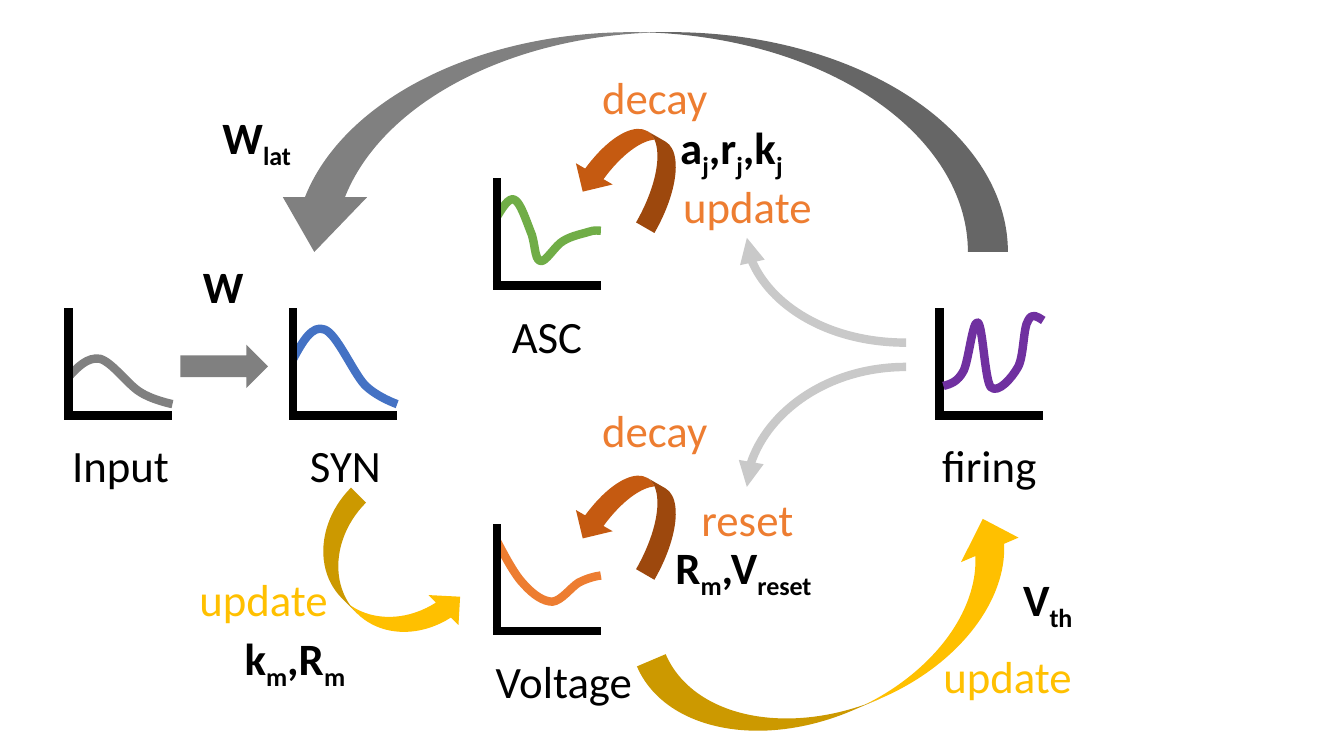
import pptx
import pptx.util
import pptx.dml.color
import pptx.enum.shapes
import pptx.enum.text
import pptx.oxml.ns
import lxml.etree


class Theme:
    black = "000000"
    gray = "808080"
    pale = "C9C9C9"
    blue = "4472C4"
    green = "70AD47"
    orange = "ED7D31"
    rust = "C55A11"
    gold = "FFC000"
    purple = "7030A0"
    font = "Calibri"
    size = 32
    stroke = 6


Pt = pptx.util.Pt
Kind = pptx.enum.shapes.MSO_SHAPE
Link = pptx.enum.shapes.MSO_CONNECTOR
qn = pptx.oxml.ns.qn


def paint(line, color):
    line.color.rgb = pptx.dml.color.RGBColor.from_string(color)
    line.width = Pt(Theme.stroke)


def link(slide, kind, start, end, color):
    ends = [Pt(v) for v in (*start, *end)]
    line = slide.shapes.add_connector(kind, *ends)
    paint(line.line, color)
    lxml.etree.SubElement(line._element.spPr, qn("a:effectLst"))
    return line


def axes(slide, x, y):
    link(slide, Link.STRAIGHT, (x, y), (x, y + 77), Theme.black)
    link(slide, Link.STRAIGHT, (x - 3, y + 76.5), (x + 74, y + 76.5), Theme.black)


def wave(slide, x, y, color, points):
    spots = [(Pt(x + a), Pt(y + b)) for a, b in points]
    pen = slide.shapes.build_freeform(*spots[0])
    pen.add_line_segments(spots[1:], close=False)
    shape = pen.convert_to_shape()
    shape.shadow.inherit = False
    shape.fill.background()
    paint(shape.line, color)
    steps = list(shape._element.iter(qn("a:lnTo")))
    for i in range(0, len(steps), 3):
        curve = lxml.etree.Element(qn("a:cubicBezTo"))
        steps[i].addprevious(curve)
        for step in steps[i:i + 3]:
            curve.append(step[0])
            step.getparent().remove(step)


def bend(slide, start, end):
    line = link(slide, Link.CURVE, start, end, Theme.pale)
    props = line._element.spPr
    props.find(qn("a:prstGeom")).set("prst", "curvedConnector2")
    tip = lxml.etree.SubElement(props.find(qn("a:ln")), qn("a:tailEnd"))
    tip.set("type", "triangle")


def arrow(slide, kind, box, color, turn=0, flip=False, bends=()):
    shape = slide.shapes.add_shape(kind, *[Pt(v) for v in box])
    shape.shadow.inherit = False
    shape.fill.solid()
    shape.fill.fore_color.rgb = pptx.dml.color.RGBColor.from_string(color)
    shape.line.fill.background()
    shape.rotation = turn
    if flip:
        for side in ("flipH", "flipV"):
            shape._element.spPr.xfrm.set(side, "1")
    for i, value in enumerate(bends):
        shape.adjustments[i] = value


def label(slide, text, x, y, color=Theme.black, wide=129, bold=False):
    box = slide.shapes.add_textbox(Pt(x), Pt(y), Pt(wide), Pt(46))
    frame = box.text_frame
    frame.word_wrap = True
    frame.auto_size = pptx.enum.text.MSO_AUTO_SIZE.SHAPE_TO_FIT_TEXT
    first, *rest = text.split("|")
    frame.text = first
    para = frame.paragraphs[0]
    para.alignment = pptx.enum.text.PP_ALIGN.CENTER
    for part in rest:
        para.add_run().text = part
    for i, run in enumerate(para.runs):
        run.font.name = Theme.font
        run.font.size = Pt(Theme.size)
        run.font.bold = bold
        run.font.color.rgb = pptx.dml.color.RGBColor.from_string(color)
        if i % 2:
            run._r.get_or_add_rPr().set("baseline", "-25000")


def plots(slide):
    waves = [
        (49, 220.3, Theme.gray,
         [(0, 49), (6.5, 41.8), (13.7, 34.6), (22.3, 36), (31, 38.2),
          (42.5, 54.7), (51.1, 59.8), (59.8, 65.5), (74.2, 68.4), (74.2, 68.4)]),
        (209.5, 220.3, Theme.blue,
         [(0, 36), (6.5, 23.8), (13.7, 11.5), (22.3, 15.1), (31, 18),
          (42.5, 45.4), (51.1, 54.7), (59.8, 63.4), (74.2, 68.4), (74.2, 68.4)]),
        (355, 374.4, Theme.orange,
         [(0, 12.2), (6.5, 24.5), (13, 36.7), (19.4, 43.2), (25.9, 50.4),
          (33.1, 55.4), (39.6, 55.4), (46.1, 54.7), (52.6, 45.4), (58.3, 41.8),
          (64.1, 38.9), (69.1, 37.4), (74.2, 36.7)]),
        (355, 127.4, Theme.green,
         [(0, 27.4), (4.3, 20.2), (8.6, 13.7), (12.2, 15.1), (16.6, 16.6),
          (20.9, 30.2), (23.8, 37.4), (27.4, 44.6), (26.6, 58.3), (31, 59),
          (34.6, 60.5), (41.8, 47.5), (47.5, 44.6), (53.3, 41), (61.2, 39.6),
          (65.5, 38.2), (69.8, 36.7), (72, 37.4), (74.2, 37.4)]),
    ]
    for x, y, color, points in waves:
        wave(slide, x, y, color, points)
        axes(slide, x, y)
    axes(slide, 671, 220.3)
    wave(slide, 671, 220.3, Theme.purple,
         [(2.9, 55.4), (7.9, 54), (13, 52.6), (17.3, 44.6), (20.9, 37.4),
          (23.8, 7.9), (27.4, 10.1), (31, 11.5), (32.4, 51.1), (36.7, 56.2),
          (41.8, 61.2), (51.8, 49.7), (56.2, 41.8), (60.5, 33.8), (59.8, 13.7),
          (63.4, 8.6), (66.2, 2.9), (69.8, 5.8), (74.2, 8.6)])


def arrows(slide):
    arc = Kind.CURVED_UP_ARROW
    for y in (91.4, 339.1):
        arrow(slide, arc, (413.3, y, 74.2, 60.5), Theme.rust, 210)
    bend(slide, (647.3, 244.8), (533.5, 169.9))
    bend(slide, (647.3, 262.1), (533.5, 347.8))
    arrow(slide, Kind.RIGHT_ARROW, (128.9, 246.2, 62.6, 31), Theme.gray)
    arrow(slide, arc, (211, 383.8, 125.3, 60.5), Theme.gold, 45)
    arrow(slide, arc, (460.8, 415.4, 290.9, 89.3), Theme.gold, 156.9, True)
    arrow(slide, arc, (194.4, 23, 525.6, 157), Theme.gray, 0, True,
          (0.182, 0.384, 0.25))


def labels(slide):
    for item in [
        ("Input", 21.6, 308.9),
        ("SYN", 182.2, 308.9),
        ("Voltage", 311.8, 463.7, Theme.black, 182),
        ("ASC", 326.2, 216.7),
        ("firing", 642.2, 308.9),
        ("decay", 403.2, 46.1, Theme.orange),
        ("update", 469.4, 123.8, Theme.orange),
        ("decay", 403.2, 284.4, Theme.orange),
        ("reset", 469.4, 347.8, Theme.orange),
        ("update", 655.2, 460.1, Theme.gold),
        ("update", 123.8, 404.6, Theme.gold),
    ]:
        label(slide, *item)
    for text, x, y, wide in [
        ("W", 95, 181.4, 129),
        ("W|lat", 118.8, 74.9, 129),
        ("a|j|,r|j|,k|j", 457.9, 82.1, 129),
        ("R|m|,V|reset", 445, 381.6, 172),
        ("V|th", 662.4, 404.6, 172),
        ("k|m|,R|m", 124.6, 447.1, 172),
    ]:
        label(slide, text, x, y, Theme.black, wide, True)


def main():
    deck = pptx.Presentation()
    deck.slide_width, deck.slide_height = Pt(960), Pt(540)
    slide = deck.slides.add_slide(deck.slide_layouts[6])
    plots(slide)
    arrows(slide)
    labels(slide)
    deck.save("out.pptx")


main()
